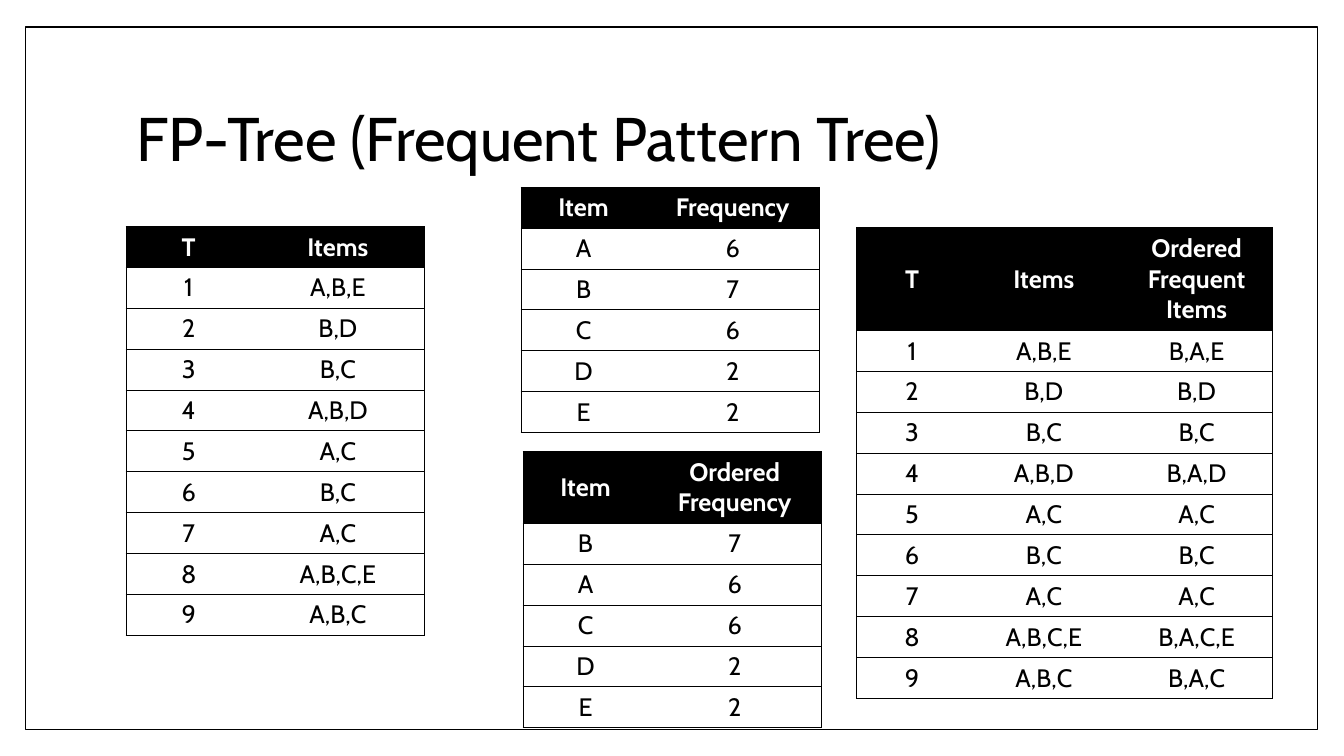
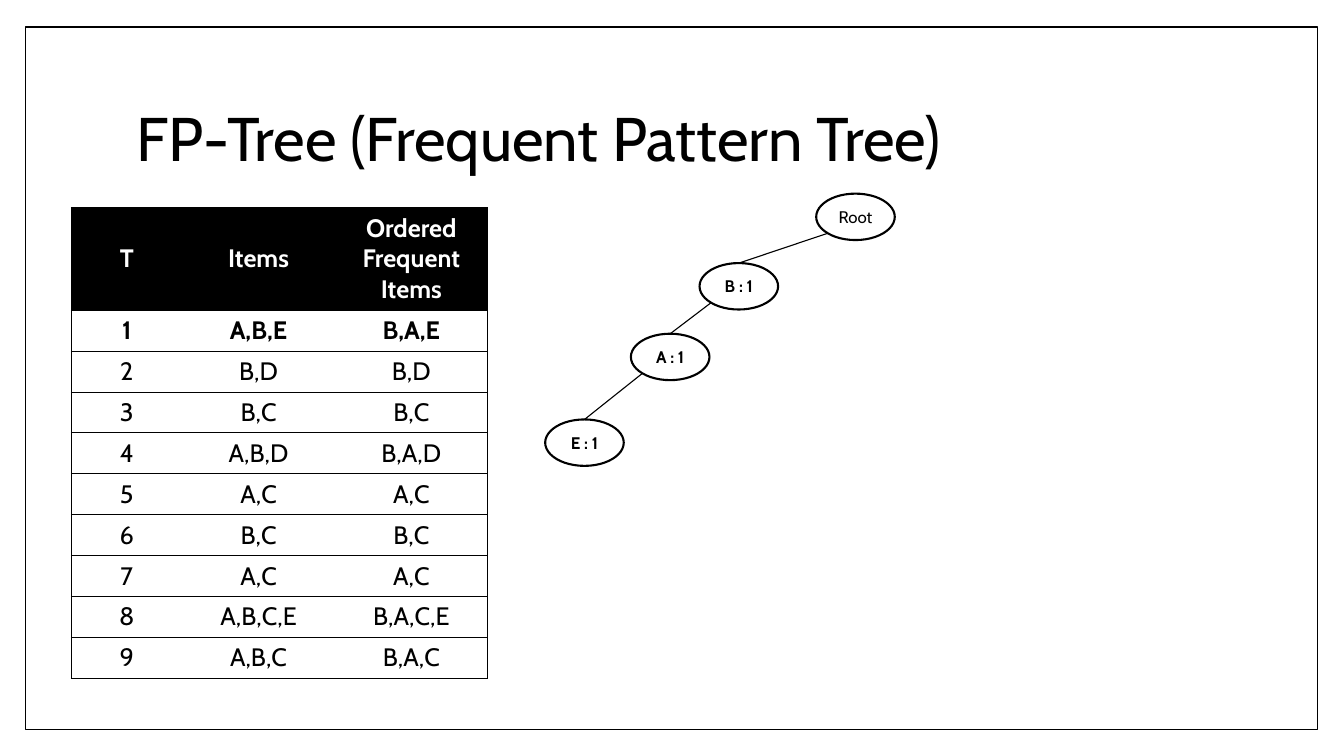
import collections
import math

import pptx
import pptx.dml.color
import pptx.enum.shapes
import pptx.enum.text
import pptx.oxml
import pptx.oxml.ns
import pptx.util

Cm = pptx.util.Cm
Pt = pptx.util.Pt
RGBColor = pptx.dml.color.RGBColor
PP_ALIGN = pptx.enum.text.PP_ALIGN
MSO_ANCHOR = pptx.enum.text.MSO_ANCHOR
MSO_SHAPE = pptx.enum.shapes.MSO_SHAPE

BLACK = RGBColor(0x00, 0x00, 0x00)
WHITE = RGBColor(0xFF, 0xFF, 0xFF)
FONT = "Cabin"
TITLE = "FP-Tree (Frequent Pattern Tree)"
THIN = Pt(0.79)

ROW_HEIGHT = 1.03
HEADER_LINE = 0.78
PAIR_COLUMNS = (3.15, 4.37)
ORDERED_COLUMNS = (2.79, 3.85, 3.85)
NODE_WIDTH, NODE_HEIGHT = 1.98, 1.17

TRANSACTIONS = ("ABE", "BD", "BC", "ABD", "AC", "BC", "AC", "ABCE", "ABC")
FREQUENCY = collections.Counter("".join(TRANSACTIONS))
RANKED_ITEMS = sorted(FREQUENCY, key=lambda item: (-FREQUENCY[item], item))

# Label, left and top of each node, from the root down
BRANCH = (
    ("Root", 20.57, 4.88),
    ("B : 1", 17.63, 6.63),
    ("A : 1", 15.9, 8.41),
    ("E : 1", 13.74, 10.57),
)


def style_paragraph(paragraph, size, color=BLACK, bold=False, align=PP_ALIGN.CENTER):
    """Align a paragraph and format its runs."""
    paragraph.alignment = align
    for run in paragraph.runs:
        run.font.name = FONT
        run.font.size = Pt(size)
        run.font.bold = bold
        run.font.color.rgb = color


def add_outlined_shape(slide, kind, left, top, width, height, line_width):
    """Add a white shape with a black outline."""
    shape = slide.shapes.add_shape(kind, Cm(left), Cm(top), Cm(width), Cm(height))
    shape.shadow.inherit = False
    shape.fill.solid()
    shape.fill.fore_color.rgb = WHITE
    shape.line.color.rgb = BLACK
    shape.line.width = Pt(line_width)
    return shape


def add_titled_slide(presentation):
    """Add a slide with the shared frame and title."""
    slide = presentation.slides.add_slide(presentation.slide_layouts[6])
    add_outlined_shape(slide, MSO_SHAPE.RECTANGLE, 0.64, 0.68, 32.56, 17.7, 1)
    title = slide.shapes.add_textbox(Cm(3.18), Cm(1.7), Cm(27.43), Cm(3.76))
    text_frame = title.text_frame
    text_frame.word_wrap = True
    text_frame.vertical_anchor = MSO_ANCHOR.MIDDLE
    text_frame.text = TITLE
    paragraph = text_frame.paragraphs[0]
    paragraph.line_spacing = 0.9
    style_paragraph(paragraph, 44, align=PP_ALIGN.LEFT)
    return slide


def set_borders(cell, sides):
    """Rule the given sides of a cell and clear the others."""
    properties = cell._tc.get_or_add_tcPr()
    namespace = pptx.oxml.ns.nsdecls("a")
    for side in "LRTB":
        if side in sides:
            fill = f'<a:solidFill><a:srgbClr val="{BLACK}"/></a:solidFill>'
        else:
            fill = "<a:noFill/>"
        properties.append(pptx.oxml.parse_xml(
            f'<a:ln{side} {namespace} w="{THIN}">{fill}</a:ln{side}>'))


def add_ruled_table(slide, left, top, widths, rows, header_lines=1, bold_rows=()):
    """Add a table with a black header row and ruled body rows."""
    header_height = ROW_HEIGHT + (header_lines - 1) * HEADER_LINE
    height = header_height + (len(rows) - 1) * ROW_HEIGHT
    table = slide.shapes.add_table(
        len(rows), len(widths), Cm(left), Cm(top), Cm(sum(widths)), Cm(height)).table
    table.horz_banding = False
    for column, width in zip(table.columns, widths):
        column.width = Cm(width)
    for row_index, values in enumerate(rows):
        is_header = row_index == 0
        table.rows[row_index].height = Cm(header_height if is_header else ROW_HEIGHT)
        for column_index, value in enumerate(values):
            cell = table.cell(row_index, column_index)
            sides = "TB"
            if column_index == 0:
                sides += "L"
            if column_index == len(widths) - 1:
                sides += "R"
            set_borders(cell, sides)
            cell.fill.solid()
            cell.fill.fore_color.rgb = BLACK if is_header else WHITE
            cell.vertical_anchor = MSO_ANCHOR.MIDDLE
            cell.text_frame.text = str(value)
            style_paragraph(cell.text_frame.paragraphs[0], 18,
                            WHITE if is_header else BLACK,
                            is_header or row_index in bold_rows)


def add_ordered_table(slide, left, top, bold_rows=()):
    """Add the transactions with their items ordered by frequency."""
    rows = [("T", "Items", "Ordered Frequent Items")]
    for number, items in enumerate(TRANSACTIONS, 1):
        ordered = sorted(items, key=RANKED_ITEMS.index)
        rows.append((number, ",".join(items), ",".join(ordered)))
    add_ruled_table(slide, left, top, ORDERED_COLUMNS, rows, 3, bold_rows)


def add_node(slide, label, left, top):
    """Add a tree node; item nodes are bold, the root is not."""
    node = add_outlined_shape(
        slide, MSO_SHAPE.OVAL, left, top, NODE_WIDTH, NODE_HEIGHT, 1.5)
    text_frame = node.text_frame
    text_frame.margin_left = text_frame.margin_right = 0
    text_frame.margin_top = text_frame.margin_bottom = 0
    text_frame.vertical_anchor = MSO_ANCHOR.MIDDLE
    text_frame.text = label
    style_paragraph(text_frame.paragraphs[0], 12, bold=label != "Root")
    return node


def add_edge(slide, parent, child):
    """Join the lower left of a parent node to the top of its child."""
    diagonal = math.sqrt(0.5)
    edge = slide.shapes.add_connector(
        pptx.enum.shapes.MSO_CONNECTOR.STRAIGHT,
        int(parent.left + parent.width / 2 * (1 - diagonal)),
        int(parent.top + parent.height / 2 * (1 + diagonal)),
        int(child.left + child.width / 2),
        child.top)
    edge.line.color.rgb = BLACK
    edge.line.width = THIN
    edge._element.spPr.append(pptx.oxml.parse_xml(
        f'<a:effectLst {pptx.oxml.ns.nsdecls("a")}/>'))


def build_frequency_slide(presentation):
    """Show the transactions, the item counts and the ordered items."""
    slide = add_titled_slide(presentation)
    transactions = [(number, ",".join(items))
                    for number, items in enumerate(TRANSACTIONS, 1)]
    counts = [(item, FREQUENCY[item]) for item in sorted(FREQUENCY)]
    ranked = [(item, FREQUENCY[item]) for item in RANKED_ITEMS]
    add_ruled_table(slide, 3.18, 5.71, PAIR_COLUMNS, [("T", "Items")] + transactions)
    add_ruled_table(slide, 13.13, 4.72, PAIR_COLUMNS, [("Item", "Frequency")] + counts)
    add_ruled_table(slide, 13.18, 11.38, PAIR_COLUMNS,
                    [("Item", "Ordered Frequency")] + ranked, header_lines=2)
    add_ordered_table(slide, 21.59, 5.74)


def build_tree_slide(presentation):
    """Show the tree after the first transaction."""
    slide = add_titled_slide(presentation)
    add_ordered_table(slide, 1.8, 5.23, bold_rows=(1,))
    nodes = [add_node(slide, *node) for node in BRANCH]
    for parent, child in zip(nodes, nodes[1:]):
        add_edge(slide, parent, child)


def main():
    """Build and save the presentation."""
    presentation = pptx.Presentation()
    presentation.slide_width = Cm(33.87)
    presentation.slide_height = Cm(19.05)
    build_frequency_slide(presentation)
    build_tree_slide(presentation)
    presentation.save("out.pptx")


main()
